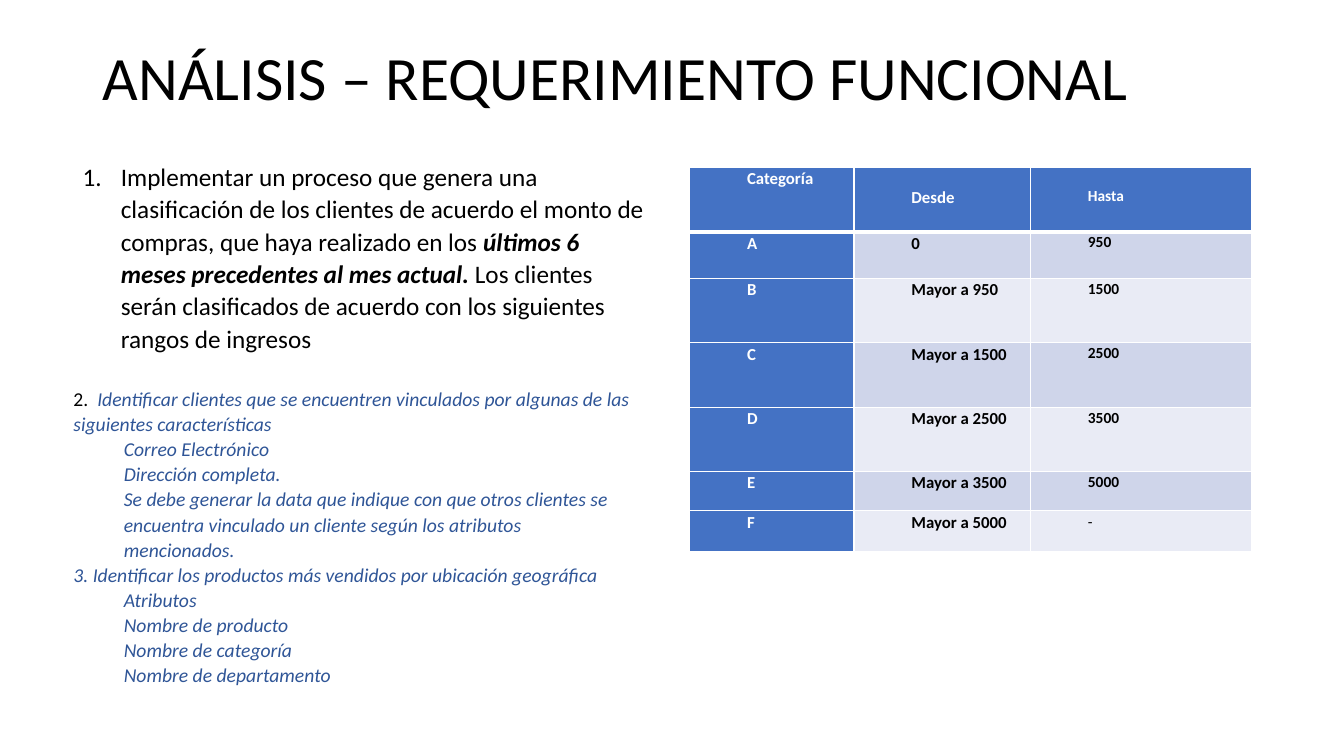
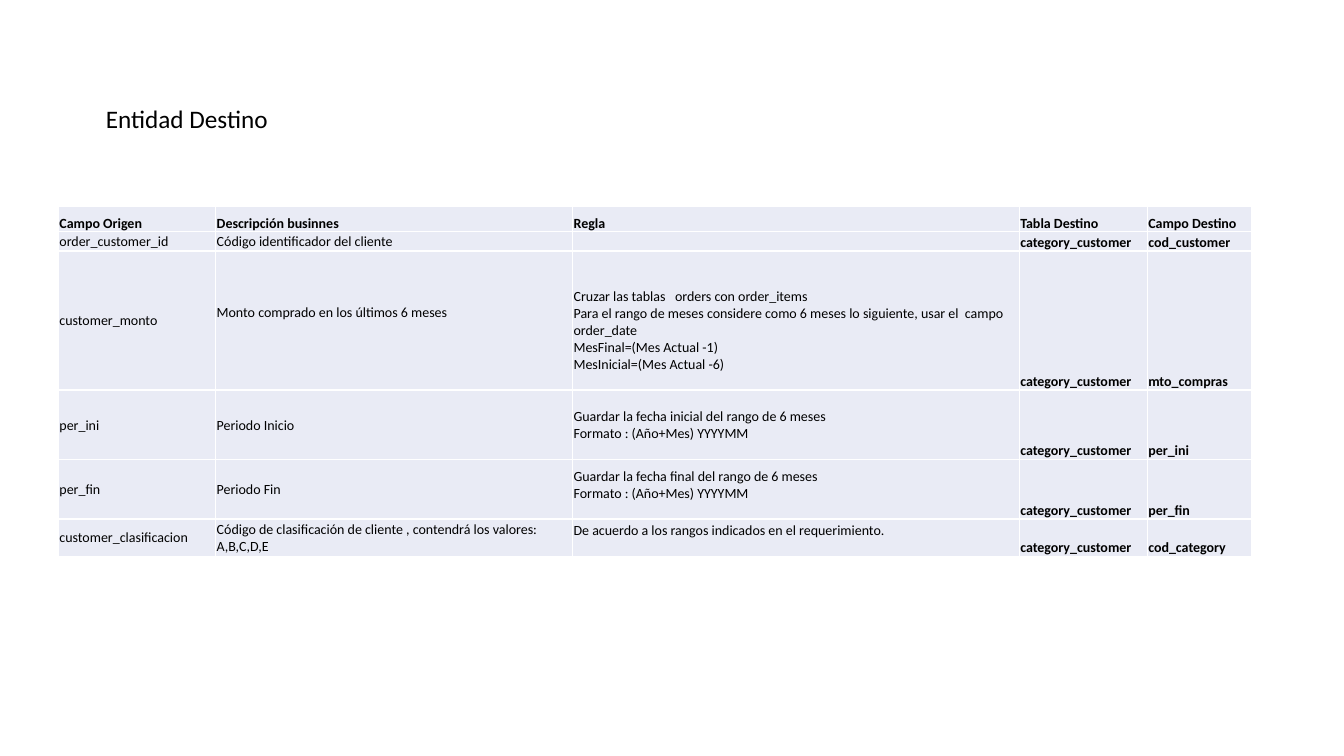
import pptx
import pptx.util
import pptx.dml.color
import pptx.enum.text
import pptx.oxml.ns
import lxml.etree

PX = 9144
FONT = "Calibri"
BLACK, WHITE = "000000", "FFFFFF"
BLUE, NAVY = "4472C4", "2F5597"
PALE, LIGHT = "E9EBF5", "CFD5EA"
ANCHOR = pptx.enum.text.MSO_ANCHOR


def px(num):
    return pptx.util.Emu(num * PX)


def color(code):
    return pptx.dml.color.RGBColor.from_string(code)


def child(node, tag, **attrs):
    return lxml.etree.SubElement(node, pptx.oxml.ns.qn(tag), **attrs)


class Deck:
    def __init__(self, wide, high):
        self.file = pptx.Presentation()
        self.file.slide_width = px(wide)
        self.file.slide_height = px(high)
        self.slide = None

    def page(self):
        self.slide = self.file.slides.add_slide(self.file.slide_layouts[5])

    def style(self, run, size, code=BLACK, bold=False, italic=False):
        font = run.font
        font.name = FONT
        font.size = pptx.util.Pt(size)
        font.bold = bold
        font.italic = italic
        font.color.rgb = color(code)

    def para(self, par, size, space=1.0, indent=0, hang=0, **look):
        par.line_spacing = space
        par.alignment = pptx.enum.text.PP_ALIGN.LEFT
        prop = par._p.get_or_add_pPr()
        prop.set("marL", str(px(indent)))
        prop.set("indent", str(px(-hang)))
        for run in par.runs:
            self.style(run, size, **look)
        if not par.runs:
            child(par._p, "a:endParaRPr", sz=str(size * 100))

    def title(self, text, box, size, space, anchor):
        head = self.slide.shapes.title
        head.left, head.top, head.width, head.height = map(px, box)
        frame = head.text_frame
        frame.text = text
        frame.word_wrap = True
        frame.auto_size = pptx.enum.text.MSO_AUTO_SIZE.NONE
        frame.vertical_anchor = anchor
        self.para(frame.paragraphs[0], size, space)

    def text(self, lines, box, size, space, indents, hang=0, **look):
        frame = self.slide.shapes.add_textbox(*map(px, box)).text_frame
        frame.word_wrap = True
        frame.text = "\n".join(lines)
        for par, indent in zip(frame.paragraphs, indents):
            self.para(par, size, space, indent, hang, **look)
        return frame

    def number(self, par):
        child(par._p.get_or_add_pPr(), "a:buAutoNum", type="arabicPeriod")

    def table(self, spot, cols, rows):
        area = (*spot, sum(cols), sum(rows))
        grid = self.slide.shapes.add_table(
            len(rows), len(cols), *map(px, area)).table
        grid.first_row = False
        grid.horz_banding = False
        for col, wide in zip(grid.columns, cols):
            col.width = px(wide)
        for row, high in zip(grid.rows, rows):
            row.height = px(high)
        return grid

    def cell(self, cell, text, size, fill, pads, anchor=ANCHOR.TOP,
             top=1, base=1, **look):
        (cell.margin_left, cell.margin_top,
         cell.margin_right, cell.margin_bottom) = map(px, pads)
        cell.vertical_anchor = anchor
        prop = cell._tc.get_or_add_tcPr()
        for side, width in zip("LRTB", (1, 1, top, base)):
            line = child(prop, f"a:ln{side}", w=str(pptx.util.Pt(width)))
            child(child(line, "a:solidFill"), "a:srgbClr", val=WHITE)
        cell.fill.solid()
        cell.fill.fore_color.rgb = color(fill)
        cell.text_frame.text = text
        for par in cell.text_frame.paragraphs:
            self.para(par, size, **look)


RANGES = [
    ("Categoría", "Desde", "Hasta"),
    ("A", "0", "950"),
    ("B", "Mayor a 950", "1500"),
    ("C", "Mayor a 1500", "2500"),
    ("D", "Mayor a 2500", "3500"),
    ("E", "Mayor a 3500", "5000"),
    ("F", "Mayor a 5000", "-"),
]

GOAL = [
    ("Implementar un proceso que genera una clasificación de los clientes de "
     "acuerdo el monto de compras, que haya realizado en los ", False),
    ("últimos 6 meses precedentes al mes actual.", True),
    (" Los clientes serán clasificados de acuerdo con los siguientes rangos "
     "de ingresos", False),
]

TASKS = [
    ("2.  ", 0),
    ("Correo Electrónico", 50),
    ("Dirección completa.", 50),
    ("Se debe generar la data que indique con que otros clientes se encuentra "
     "vinculado un cliente según los atributos mencionados.", 50),
    ("3. Identificar los productos más vendidos por ubicación geográfica", 0),
    ("Atributos", 50),
    ("Nombre de producto", 50),
    ("Nombre de categoría", 50),
    ("Nombre de departamento", 50),
]

FIELDS = [
    ("Campo Origen", "Descripción businnes", "Regla",
     "Tabla Destino", "Campo Destino"),
    ("order_customer_id", "Código identificador del cliente", "",
     "category_customer", "cod_customer"),
    ("customer_monto", "Monto comprado en los últimos 6 meses",
     "Cruzar las tablas   orders con order_items\n"
     "Para el rango de meses considere como 6 meses lo siguiente, "
     "usar el  campo order_date\n"
     "MesFinal=(Mes Actual -1)\nMesInicial=(Mes Actual -6)",
     "category_customer", "mto_compras"),
    ("per_ini", "Periodo Inicio",
     "Guardar la fecha inicial del rango de 6 meses\n"
     "Formato : (Año+Mes) YYYYMM", "category_customer", "per_ini"),
    ("per_fin", "Periodo Fin",
     "Guardar la fecha final del rango de 6 meses\n"
     "Formato : (Año+Mes) YYYYMM", "category_customer", "per_fin"),
    ("customer_clasificacion",
     "Código de clasificación de cliente , contendrá los valores: A,B,C,D,E",
     "De acuerdo a los rangos indicados en el requerimiento.",
     "category_customer", "cod_category"),
]


def needs(deck):
    deck.page()
    deck.title("ANÁLISIS – REQUERIMIENTO FUNCIONAL", (92, 25, 1150, 109),
               44, 0.9, ANCHOR.MIDDLE)

    goal = deck.text([""], (72, 153, 578, 203), 18, 1.07, [38], 38)
    par = goal.paragraphs[0]
    deck.number(par)
    for words, strong in GOAL:
        run = par.add_run()
        run.text = words
        deck.style(run, 18, bold=strong, italic=strong)

    grid = deck.table((684, 166), (163, 175, 219),
                      (64, 46, 64, 64, 64, 39, 40))
    for r, row in enumerate(RANGES):
        for c, words in enumerate(row):
            head = r == 0 or c == 0
            deck.cell(grid.cell(r, c), words, 11 if c == 2 else 12,
                      BLUE if head else LIGHT if r % 2 else PALE,
                      (7, 0, 7, 0), top=3 if r == 1 else 1,
                      base=3 if r == 0 else 1,
                      space=2.0 if r == 0 and c else 1.07, indent=50,
                      code=WHITE if head else BLACK, bold=words != "-")

    lines, indents = zip(*TASKS)
    tasks = deck.text(lines, (63, 377, 578, 311), 14, 1.07, indents,
                      code=NAVY, italic=True)
    par = tasks.paragraphs[0]
    deck.style(par.runs[0], 14)
    run = par.add_run()
    run.text = ("Identificar clientes que se encuentren vinculados por algunas "
                "de las siguientes características")
    deck.style(run, 14, NAVY, italic=True)


def target(deck):
    deck.page()
    deck.title("Entidad Destino", (95, 97, 414, 40), 18, 1.0, ANCHOR.TOP)
    grid = deck.table((58, 205), (156, 354, 443, 127, 103),
                      (25, 19, 138, 69, 59, 37))
    for r, row in enumerate(FIELDS):
        for c, words in enumerate(row):
            raised = r > 1 and c == 2 or (r, c) == (2, 1)
            deck.cell(grid.cell(r, c), words, 10, PALE,
                      (1, 1, 1, 17 if raised else 0),
                      ANCHOR.MIDDLE if r and c < 2 else ANCHOR.BOTTOM,
                      bold=r == 0 or c > 2)


def main():
    deck = Deck(1333, 750)
    needs(deck)
    target(deck)
    deck.file.save("out.pptx")


if __name__ == "__main__":
    main()
